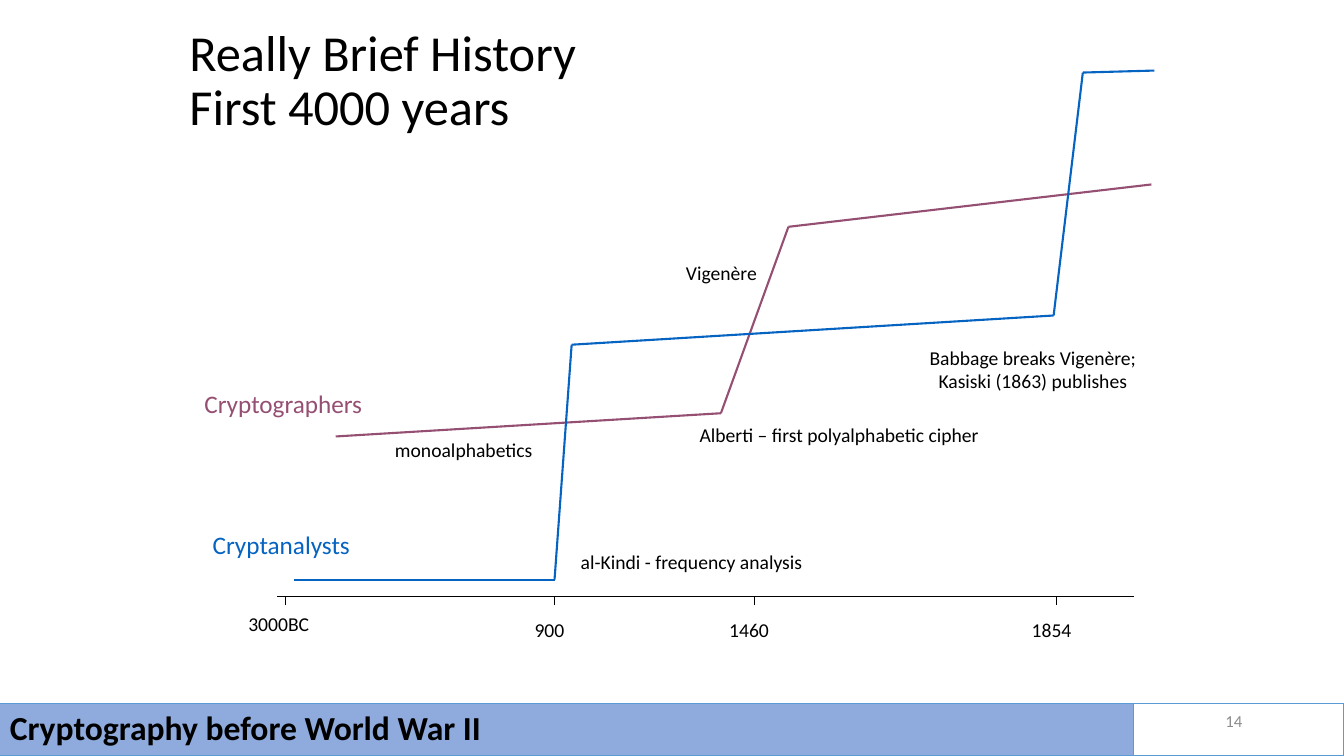
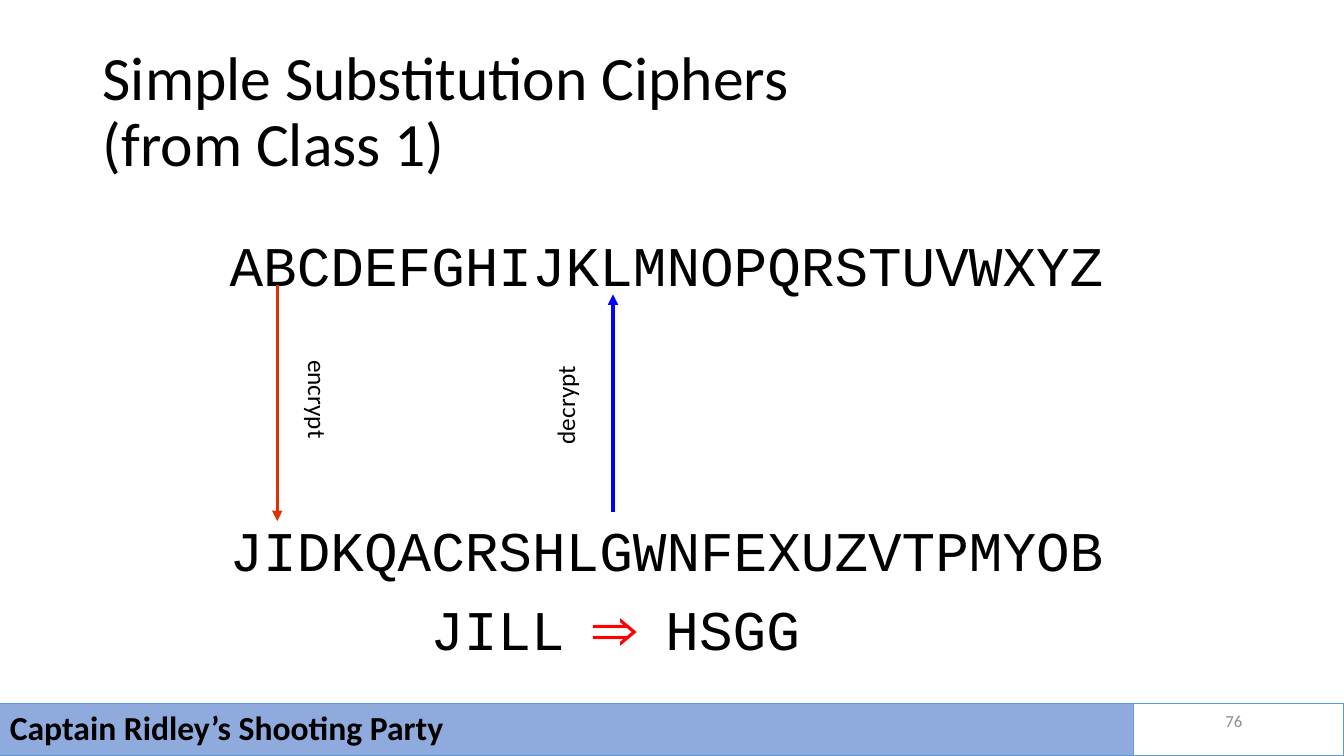
from dataclasses import dataclass
from itertools import pairwise

from lxml import etree
from pptx import Presentation
from pptx import util as u
from pptx.dml.color import RGBColor
from pptx.enum import shapes, text
from pptx.oxml import ns
from pptx.slide import Slide
from pptx.text.text import TextFrame

Point = tuple[float, float]
Run = tuple[str, str]


@dataclass(frozen=True)
class Theme:
    sans: str = "Calibri"
    mono: str = "Courier New"
    ink: str = "000000"
    muted: str = "8C8C8C"
    band: str = "8FAADC"
    edge: str = "5B9BD5"
    makers: str = "954F72"
    breakers: str = "0563C1"
    encrypt: str = "DD3300"
    decrypt: str = "0000FF"
    accent: str = "FF0000"
    number_size: int = 12
    note_size: int = 14
    label_size: int = 18
    footer_size: int = 24
    chart_title_size: int = 36
    cipher_size: int = 40
    title_size: int = 44
    thin: float = 0.75
    series: float = 1.5
    arrow: float = 2.5


T = Theme()
LEFT, CENTER, RIGHT = text.PP_ALIGN.LEFT, text.PP_ALIGN.CENTER, text.PP_ALIGN.RIGHT
TOP, MIDDLE = text.MSO_ANCHOR.TOP, text.MSO_ANCHOR.MIDDLE
SLIDE_W, SLIDE_H = 13.33, 7.5
BAND_TOP, BAND_W = 6.98, 11.24
AXIS_Y, TICK = 5.92, 0.08


@dataclass(frozen=True)
class Box:
    left: float
    top: float
    width: float
    height: float

    def emu(self) -> list[u.Length]:
        return [u.Inches(v) for v in (self.left, self.top, self.width, self.height)]


@dataclass(frozen=True)
class Style:
    size: int
    font: str = T.sans
    bold: bool = False
    align: text.PP_ALIGN = LEFT
    anchor: text.MSO_ANCHOR = TOP
    spacing: float = 1.0
    wrap: bool = False


@dataclass(frozen=True)
class Label:
    box: Box
    lines: tuple[str, ...]
    style: Style
    color: str = T.ink
    rotation: int = 0


@dataclass(frozen=True)
class Series:
    color: str
    points: tuple[Point, ...]


@dataclass(frozen=True)
class Tick:
    x: float
    label: Label


@dataclass(frozen=True)
class Arrow:
    start: Point
    end: Point
    color: str


NOTE = Style(T.note_size, align=CENTER)
SERIES_NAME = Style(T.label_size, align=CENTER)
ARROW_NAME = Style(T.label_size)
CIPHER = Style(T.cipher_size, T.mono)
NUMBER = Style(T.number_size, align=RIGHT, anchor=MIDDLE, wrap=True)
FOOTER = Style(T.footer_size, bold=True, anchor=MIDDLE, spacing=0.9, wrap=True)


def fill_text(tf: TextFrame, paragraphs: list[list[Run]], style: Style) -> None:
    tf.word_wrap = style.wrap
    tf.vertical_anchor = style.anchor
    for i, runs in enumerate(paragraphs):
        p = tf.paragraphs[0] if i == 0 else tf.add_paragraph()
        p.alignment = style.align
        p.line_spacing = style.spacing
        for content, color in runs:
            if content == "\n":
                p.add_line_break()
                continue
            r = p.add_run()
            r.text = content
            r.font.name = style.font
            r.font.size = u.Pt(style.size)
            r.font.bold = style.bold
            r.font.color.rgb = RGBColor.from_string(color)


def add_runs(s: Slide, box: Box, paragraphs: list[list[Run]], style: Style,
             rotation: int = 0) -> None:
    sp = s.shapes.add_textbox(*box.emu())
    sp.rotation = rotation
    fill_text(sp.text_frame, paragraphs, style)


def add_label(s: Slide, label: Label) -> None:
    paragraphs = [[(line, label.color)] for line in label.lines]
    add_runs(s, label.box, paragraphs, label.style, label.rotation)


def add_line(s: Slide, start: Point, end: Point, color: str, width: float,
             arrow: bool = False) -> None:
    ends = [u.Inches(v) for v in (*start, *end)]
    line = s.shapes.add_connector(shapes.MSO_CONNECTOR.STRAIGHT, *ends)
    line.line.color.rgb = RGBColor.from_string(color)
    line.line.width = u.Pt(width)
    if arrow:
        etree.SubElement(line.line._get_or_add_ln(), ns.qn("a:tailEnd"), type="triangle")
    etree.SubElement(line._element.spPr, ns.qn("a:effectLst"))


def add_panel(s: Slide, box: Box, fill: str | None = None, caption: str = "") -> None:
    sp = s.shapes.add_shape(shapes.MSO_SHAPE.RECTANGLE, *box.emu())
    sp.shadow.inherit = False
    sp.line.color.rgb = RGBColor.from_string(T.edge)
    sp.line.width = u.Pt(T.thin)
    if fill:
        sp.fill.solid()
        sp.fill.fore_color.rgb = RGBColor.from_string(fill)
    else:
        sp.fill.background()
    if caption:
        fill_text(sp.text_frame, [[(caption, T.ink)]], FOOTER)


def add_slide(prs: Presentation, title: tuple[str, str], title_box: Box,
              title_size: int, footer: str, number: int) -> Slide:
    s = prs.slides.add_slide(prs.slide_layouts[6])
    first, second = title
    style = Style(title_size, anchor=MIDDLE, spacing=0.9, wrap=True)
    add_runs(s, title_box, [[(first, T.ink), ("\n", T.ink), (second, T.ink)]], style)
    add_label(s, Label(Box(9.42, 6.95, 3, 0.4), (str(number),), NUMBER, T.muted))
    band_h = SLIDE_H - BAND_TOP
    add_panel(s, Box(0, BAND_TOP, BAND_W, band_h), T.band, footer)
    add_panel(s, Box(BAND_W, BAND_TOP, SLIDE_W - BAND_W, band_h))
    return s


def year(left: float, top: float, width: float, name: str) -> Label:
    return Label(Box(left, top, width, 0.34), (name,), NOTE)


TICKS = (
    Tick(2.83, year(2.36, 6.02, 0.81, "3000BC")),
    Tick(5.5, year(5.2, 6.08, 0.5, "900")),
    Tick(7.48, year(7.13, 6.08, 0.6, "1460")),
    Tick(10.48, year(10.13, 6.08, 0.6, "1854")),
)
SERIES = (
    Series(T.makers, ((3.33, 4.33), (7.15, 4.1), (7.82, 2.25), (11.42, 1.83))),
    Series(T.breakers, ((2.92, 5.75), (5.5, 5.75), (5.67, 3.42), (10.45, 3.13),
                        (10.74, 0.72), (11.45, 0.7))),
)
HISTORY_LABELS = (
    Label(Box(1.92, 3.8, 1.78, 0.4), ("Cryptographers",), SERIES_NAME, T.makers),
    Label(Box(2, 5.2, 1.58, 0.4), ("Cryptanalysts",), SERIES_NAME, T.breakers),
    Label(Box(3.81, 4.3, 1.58, 0.34), ("monoalphabetics",), NOTE),
    Label(Box(5.65, 5.41, 2.42, 0.34), ("al-Kindi - frequency analysis",), NOTE),
    Label(Box(6.82, 4.15, 3.01, 0.34), ("Alberti – first polyalphabetic cipher",), NOTE),
    Label(Box(6.7, 2.54, 0.91, 0.34), ("Vigenère",), NOTE),
    Label(Box(9.11, 3.38, 2.27, 0.57),
          ("Babbage breaks Vigenère;", "Kasiski (1863) publishes"), NOTE),
)
CIPHER_LABELS = (
    Label(Box(2.18, 2.24, 8.87, 0.77), ("ABCDEFGHIJKLMNOPQRSTUVWXYZ",), CIPHER),
    Label(Box(2.18, 5.07, 8.87, 0.77), ("JIDKQACRSHLGWNFEXUZVTPMYOB",), CIPHER),
    Label(Box(2.66, 3.77, 0.99, 0.4), ("encrypt",), ARROW_NAME, rotation=90),
    Label(Box(5.11, 3.81, 0.99, 0.4), ("decrypt",), ARROW_NAME, rotation=270),
)
ARROWS = (
    Arrow((2.75, 2.83), (2.75, 5.17), T.encrypt),
    Arrow((6.08, 5.08), (6.08, 2.92), T.decrypt),
)


def build_history(prs: Presentation) -> None:
    s = add_slide(prs, ("Really Brief History", "First 4000 years"),
                  Box(1.78, 0.19, 6.82, 1.25), T.chart_title_size,
                  "Cryptography before World War II", 14)
    add_line(s, (2.75, AXIS_Y), (11.25, AXIS_Y), T.ink, T.thin)
    for tick in TICKS:
        add_line(s, (tick.x, AXIS_Y), (tick.x, AXIS_Y + TICK), T.ink, T.thin)
        add_label(s, tick.label)
    for series in SERIES:
        for start, end in pairwise(series.points):
            add_line(s, start, end, series.color, T.series)
    for label in HISTORY_LABELS:
        add_label(s, label)


def build_substitution(prs: Presentation) -> None:
    s = add_slide(prs, ("Simple Substitution Ciphers", "(from Class 1)"),
                  Box(0.92, 0.4, 11.5, 1.45), T.title_size,
                  "Captain Ridley’s Shooting Party", 76)
    for label in CIPHER_LABELS:
        add_label(s, label)
    for arrow in ARROWS:
        add_line(s, arrow.start, arrow.end, arrow.color, T.arrow, arrow=True)
    example = [("JILL ", T.ink), ("⇒", T.accent), (" HSGG", T.ink)]
    add_runs(s, Box(4.17, 5.85, 4.08, 0.77), [example], CIPHER)


def main() -> None:
    prs = Presentation()
    prs.slide_width, prs.slide_height = u.Inches(SLIDE_W), u.Inches(SLIDE_H)
    build_history(prs)
    build_substitution(prs)
    prs.save("out.pptx")


if __name__ == "__main__":
    main()
